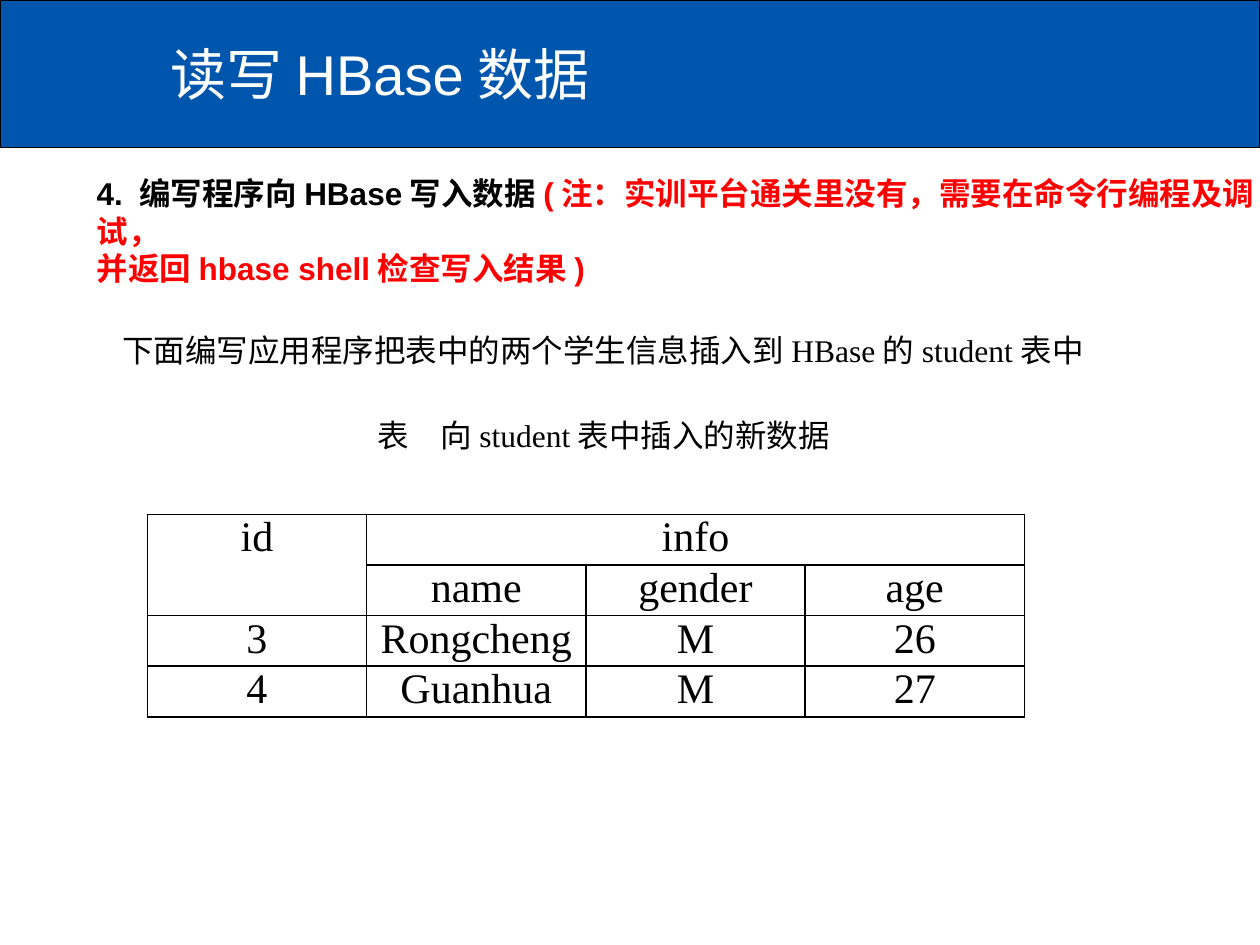
"""Build the slide on writing student data to HBase."""
from lxml import etree
from pptx import Presentation, util as u
from pptx.dml.color import RGBColor
from pptx.enum import shapes, text
from pptx.oxml.ns import qn

HUES = {"band": "0056AC", "ink": "000000", "note": "FF0000", "light": "FFFFFF"}
SANS, SERIF = "Arial", "Times New Roman"
ROWS = [
    ["id", "info", "", ""],
    ["", "name", "gender", "age"],
    ["3", "Rongcheng", "M", "26"],
    ["4", "Guanhua", "M", "27"],
]


def hue(name):
    """Return the named colour."""
    return RGBColor.from_string(HUES[name])


def style(para, size, face, tint="ink", bold=False, align=text.PP_ALIGN.LEFT):
    """Set the font and alignment of a paragraph."""
    font = para.font
    font.size, font.name, font.bold = u.Pt(size), face, bold
    font.color.rgb = hue(tint)
    para.alignment = align


def add_band(slide):
    """Draw the title band."""
    band = slide.shapes.add_shape(
        shapes.MSO_SHAPE.RECTANGLE, 0, 0, u.Cm(25.4), u.Cm(2.97))
    band.shadow.inherit = False
    band.fill.solid()
    band.fill.fore_color.rgb = hue("band")
    band.line.color.rgb = hue("ink")
    band.line.width = u.Pt(0.75)


def add_text(slide, spot, lines, size, face, middle=False, **look):
    """Add a text box whose lines are lists of (words, colour) runs."""
    frame = slide.shapes.add_textbox(*map(u.Cm, spot)).text_frame
    frame.word_wrap = True
    if middle:
        frame.vertical_anchor = text.MSO_ANCHOR.MIDDLE
    for index, runs in enumerate(lines):
        para = frame.add_paragraph() if index else frame.paragraphs[0]
        style(para, size, face, tint=runs[0][1], **look)
        for words, tint in runs:
            run = para.add_run()
            run.text = words
            if tint != runs[0][1]:
                run.font.color.rgb = hue(tint)


def add_edges(cell):
    """Give a cell thin black borders on all sides."""
    props = cell._tc.get_or_add_tcPr()
    for index, side in enumerate("LRTB"):
        edge = etree.Element(qn(f"a:ln{side}"), w=str(u.Pt(1)))
        fill = etree.SubElement(edge, qn("a:solidFill"))
        etree.SubElement(fill, qn("a:srgbClr"), val=HUES["ink"])
        props.insert(index, edge)


def add_grid(slide):
    """Add the table of new student rows."""
    grid = slide.shapes.add_table(
        len(ROWS), len(ROWS[0]), *map(u.Cm, (2.97, 10.37, 17.68, 4.08))).table
    grid.first_row = grid.horz_banding = False
    for r, row in enumerate(ROWS):
        for c, words in enumerate(row):
            cell = grid.cell(r, c)
            cell.margin_left = cell.margin_right = u.Cm(0.18)
            cell.margin_top = cell.margin_bottom = 0
            cell.fill.background()
            add_edges(cell)
            cell.text = words
            style(cell.text_frame.paragraphs[0], 24, SERIF,
                  align=text.PP_ALIGN.CENTER)
    grid.cell(0, 0).merge(grid.cell(1, 0))
    grid.cell(0, 1).merge(grid.cell(0, 3))


def main():
    """Build and save the slide."""
    deck = Presentation()
    deck.slide_width, deck.slide_height = u.Cm(25.4), u.Cm(19.05)
    slide = deck.slides.add_slide(deck.slide_layouts[6])
    add_band(slide)
    add_text(slide, (3.18, 0.2, 22.22, 2.54),
             [[("读写HBase数据", "light")]], 32, SANS, middle=True)
    add_text(slide, (1.7, 3.38, 24.36, 1.8), [
        [("4. 编写程序向HBase写入数据", "ink"),
         ("(注：实训平台通关里没有，需要在命令行编程及调试，", "note")],
        [("并返回hbase shell检查写入结果)", "note")],
    ], 18, SANS, bold=True)
    add_grid(slide)
    add_text(slide, (2.11, 6.55, 20.09, 1.02),
             [[("下面编写应用程序把表中的两个学生信息插入到HBase的student表中", "ink")]],
             18, SERIF, middle=True, align=text.PP_ALIGN.CENTER)
    add_text(slide, (5.72, 8.26, 12.9, 1.96),
             [[("表　向student表中插入的新数据", "ink")]],
             18, SERIF, align=text.PP_ALIGN.CENTER)
    deck.save("out.pptx")


if __name__ == "__main__":
    main()
